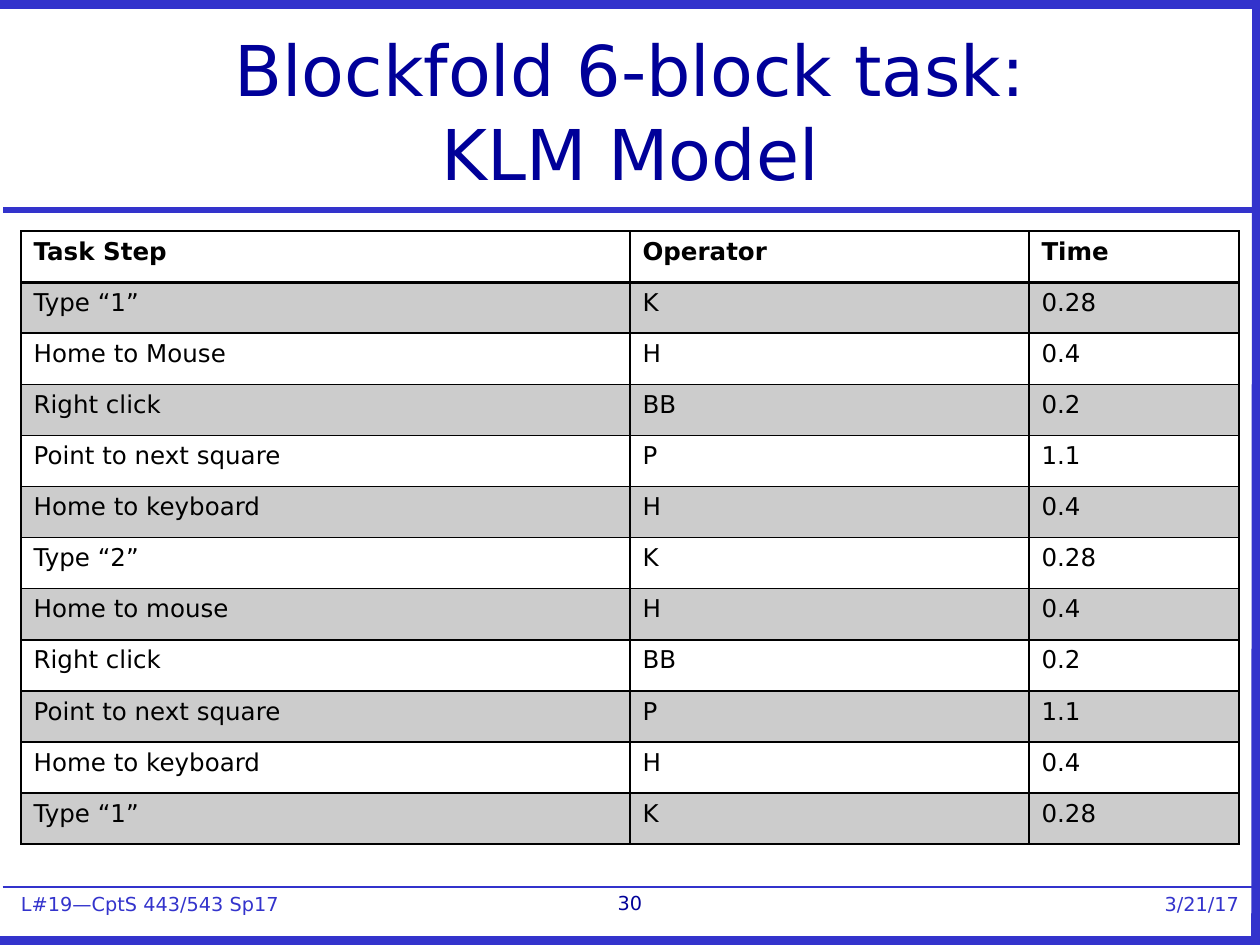
from lxml.etree import SubElement
from pptx import Presentation
from pptx.dml.color import RGBColor
from pptx.enum.shapes import MSO_CONNECTOR, MSO_SHAPE
from pptx.enum.text import MSO_ANCHOR, PP_ALIGN
from pptx.oxml.ns import qn
from pptx.util import Pt

FONT = "DejaVu Sans"
BLUE = "3333CC"
NAVY = "000099"
BLACK = "000000"
STEPS = [
    ("Task Step", "Operator", "Time"),
    ("Type “1”", "K", "0.28"),
    ("Home to Mouse", "H", "0.4"),
    ("Right click", "BB", "0.2"),
    ("Point to next square", "P", "1.1"),
    ("Home to keyboard", "H", "0.4"),
    ("Type “2”", "K", "0.28"),
    ("Home to mouse", "H", "0.4"),
    ("Right click", "BB", "0.2"),
    ("Point to next square", "P", "1.1"),
    ("Home to keyboard", "H", "0.4"),
    ("Type “1”", "K", "0.28"),
]


def paint(target, tone):
    target.rgb = RGBColor.from_string(tone)


def write(frame, text, size, tone, align=PP_ALIGN.LEFT, bold=False):
    frame.text = text
    for par in frame.paragraphs:
        par.alignment = align
        for run in par.runs:
            run.font.name = FONT
            run.font.size = Pt(size)
            run.font.bold = bold
            paint(run.font.color, tone)


def add_text(slide, box, text, size, tone, align, anchor):
    shape = slide.shapes.add_textbox(*map(Pt, box))
    frame = shape.text_frame
    frame.word_wrap = True
    frame.vertical_anchor = anchor
    write(frame, text, size, tone, align)


def add_label(slide, box, text, align):
    shape = slide.shapes.add_shape(MSO_SHAPE.RECTANGLE, *map(Pt, box))
    shape.shadow.inherit = False
    shape.fill.solid()
    paint(shape.fill.fore_color, "FFFFFF")
    shape.line.fill.background()
    frame = shape.text_frame
    frame.word_wrap = True
    frame.vertical_anchor = MSO_ANCHOR.TOP
    frame.margin_left = frame.margin_right = 0
    frame.margin_top = frame.margin_bottom = 0
    write(frame, text, 11, BLUE, align)


def add_line(slide, ends, width):
    line = slide.shapes.add_connector(MSO_CONNECTOR.STRAIGHT, *map(Pt, ends))
    paint(line.line.color, BLUE)
    line.line.width = Pt(width)
    SubElement(line._element.spPr, qn("a:effectLst"))


def add_frame(slide, box):
    left, top, wide, high = box
    right, low = left + wide, top + high
    add_line(slide, (left + 2, top + 120, right - 2, top + 120), 3)
    for y in (top + 2.4, low - 2.2):
        add_line(slide, (left - 0.7, y, right - 1.5, y), 6)
    add_line(slide, (right - 2, low + 0.7, right - 1.5, top), 6)


def add_foot(slide, box):
    left, top, wide, high = box
    right = left + wide
    add_line(slide, (left + 1.5, top, right - 3.6, top), 1)
    add_label(slide, (left + 12, top + 3, 180, 13),
              "L#19—CptS 443/543 Sp17", PP_ALIGN.LEFT)
    add_label(slide, (right - 180, top + 3, 168, 13), "3/21/17", PP_ALIGN.RIGHT)
    add_text(slide, (left + 18, top - 1.3, wide - 36, 12), "30", 11, NAVY,
             PP_ALIGN.CENTER, MSO_ANCHOR.TOP)


def add_edge(cell, side, width):
    edge = SubElement(cell._tc.get_or_add_tcPr(), qn("a:ln" + side),
                      w=str(Pt(width)))
    fill = SubElement(edge, qn("a:solidFill"))
    SubElement(fill, qn("a:srgbClr"), val=BLACK)


def shade(cell):
    cell.fill.solid()
    paint(cell.fill.fore_color, BLACK)
    tone = cell._tc.tcPr.find(qn("a:solidFill")).find(qn("a:srgbClr"))
    SubElement(tone, qn("a:alpha"), val="20000")


def add_steps(slide, box):
    shape = slide.shapes.add_table(len(STEPS), 3, *map(Pt, box))
    table = shape.table
    table.first_row = table.horz_banding = False
    for col, part in zip(table.columns, (0.5, 0.3276, 0.1724)):
        col.width = Pt(box[2] * part)
    for i, step in enumerate(STEPS):
        table.rows[i].height = Pt(box[3] / len(STEPS))
        for j, text in enumerate(step):
            cell = table.cell(i, j)
            write(cell.text_frame, text, 14, BLACK, bold=i == 0)
            for side in "LRTB":
                thick = (i, side) in ((0, "B"), (1, "T"))
                add_edge(cell, side, 2 if thick else 1)
            if i % 2:
                shade(cell)
            else:
                cell.fill.background()


def main():
    deck = Presentation()
    deck.slide_width, deck.slide_height = Pt(720), Pt(540)
    slide = deck.slides.add_slide(deck.slide_layouts[6])
    add_frame(slide, (0, 0, 720, 540))
    add_text(slide, (12, 12, 696, 102), "Blockfold 6-block task:\vKLM Model",
             40, NAVY, PP_ALIGN.CENTER, MSO_ANCHOR.MIDDLE)
    add_steps(slide, (12, 132, 696, 350.4))
    add_foot(slide, (0, 506.8, 720, 33.2))
    deck.save("out.pptx")


if __name__ == "__main__":
    main()
